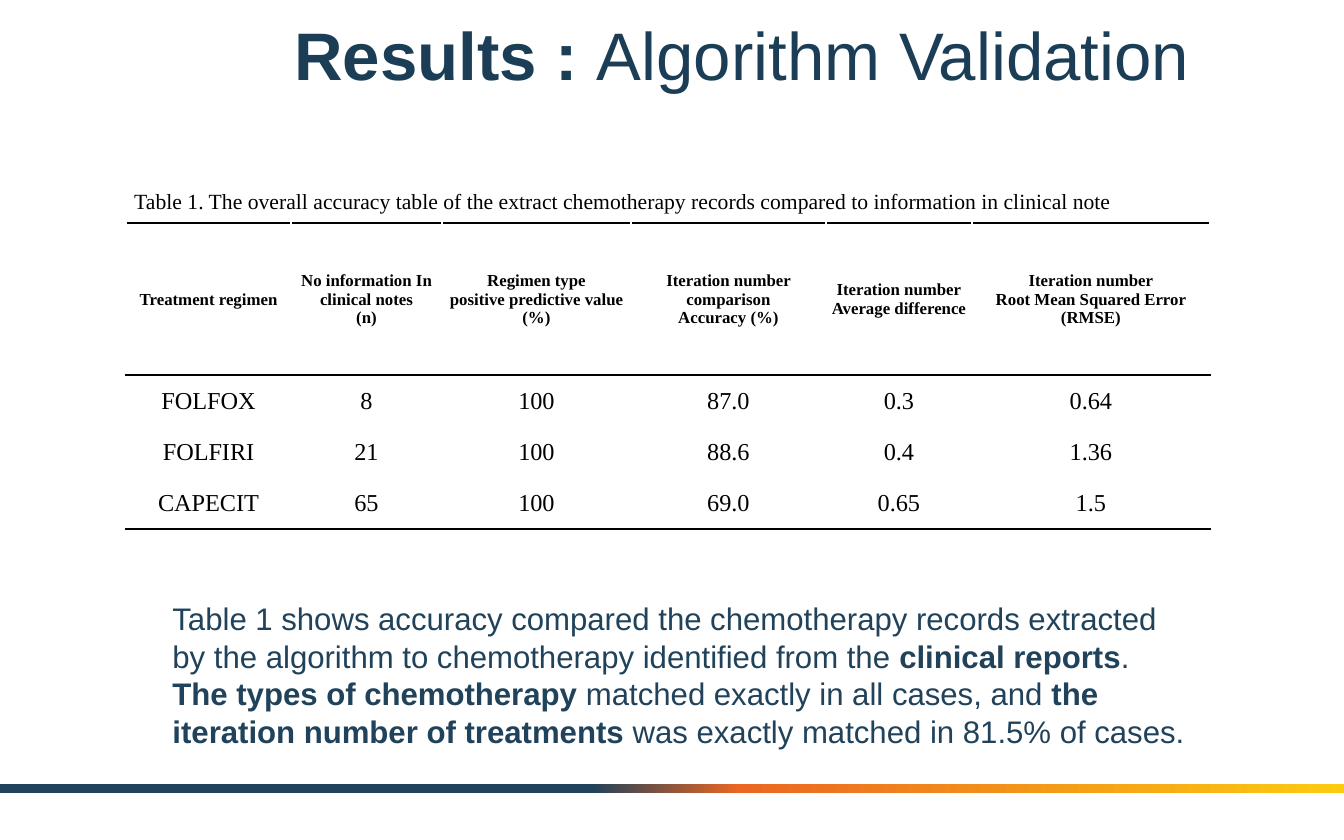
from copy import deepcopy

from lxml import etree
from pptx import Presentation
from pptx.dml.color import RGBColor
from pptx.enum.shapes import MSO_SHAPE
from pptx.enum.text import MSO_ANCHOR, MSO_AUTO_SIZE, PP_ALIGN
from pptx.oxml.ns import qn
from pptx.util import Pt

LEFT, CENTER = PP_ALIGN.LEFT, PP_ALIGN.CENTER
TOP, MIDDLE = MSO_ANCHOR.TOP, MSO_ANCHOR.MIDDLE
RECTANGLE, NO_FIT = MSO_SHAPE.RECTANGLE, MSO_AUTO_SIZE.NONE
PX = 914400 / 134.4

COLORS = {"title": "1B3E56", "navy": "20425A", "orange": "EB6622",
          "yellow": "FCCB10", "black": "000000", "white": "FFFFFF"}

TITLE = [[("Results : ", True), ("Algorithm Validation", False)]]
CAPTION = [[("Table 1. The overall accuracy table of the extract chemotherapy records "
             "compared to information in clinical note", False)]]
SUMMARY = [
    [("Table 1 shows accuracy compared the chemotherapy records extracted by the "
      "algorithm to chemotherapy identified from the ", False),
     ("clinical reports", True), (".", False)],
    [("The types of chemotherapy ", True),
     ("matched exactly in all cases, and ", False),
     ("the iteration number of treatments ", True),
     ("was exactly matched in 81.5% of cases.", False)],
]
HEADERS = [
    ["Treatment regimen"],
    ["No information In clinical notes", "(n)"],
    ["Regimen type", "positive predictive value (%)"],
    ["Iteration number comparison", "Accuracy (%)"],
    ["Iteration number", "Average difference"],
    ["Iteration number", "Root Mean Squared Error", "(RMSE)"],
]
RESULTS = [
    ["FOLFOX", "8", "100", "87.0", "0.3", "0.64"],
    ["FOLFIRI", "21", "100", "88.6", "0.4", "1.36"],
    ["CAPECIT", "65", "100", "69.0", "0.65", "1.5"],
]
COLUMN_WIDTHS = [165, 151, 189, 195, 146, 238]
ROW_HEIGHTS = [152, 51, 52, 51]
BAND_STOPS = [("navy", 0.44), ("orange", 0.55), ("yellow", 1)]

TITLE_STYLE = {"name": "Arial", "size": Pt(36), "color": "title"}
SUMMARY_STYLE = {"name": "Arial", "size": Pt(16.7), "color": "navy"}
CAPTION_STYLE = {"name": "Times New Roman", "size": Pt(11.6), "color": "black"}
HEADER_STYLE = {"name": "Times New Roman", "size": Pt(9), "color": "black"}
VALUE_STYLE = {"name": "Times New Roman", "size": Pt(13), "color": "black"}


def px(value):
    return round(value * PX)


def rgb(name):
    return RGBColor.from_string(COLORS[name])


def place(box, left, top, width, height):
    box.left, box.top, box.width, box.height = map(px, (left, top, width, height))


def write(frame, paragraphs, style, align):
    for index, spans in enumerate(paragraphs):
        para = frame.add_paragraph() if index else frame.paragraphs[0]
        properties = para._p.get_or_add_pPr()
        properties.set("marL", "0")
        properties.set("indent", "0")
        etree.SubElement(properties, qn("a:buNone"))
        para.alignment, para.line_spacing = align, 1.0
        para.space_before = para.space_after = Pt(0)
        for text, bold in spans:
            span = para.add_run()
            span.text = text
            span.font.bold = bold
            span.font.color.rgb = rgb(style["color"])
            for name in ("name", "size"):
                setattr(span.font, name, style[name])


def fill_box(box, bounds, paragraphs, style, align):
    place(box, *bounds)
    frame = box.text_frame
    frame.word_wrap, frame.auto_size = True, NO_FIT
    frame.vertical_anchor = TOP
    write(frame, paragraphs, style, align)


def set_borders(cell, top, bottom):
    properties = cell._tc.get_or_add_tcPr()
    sides = [("L", "white"), ("R", "white"), ("T", top), ("B", bottom)]
    for index, (side, color) in enumerate(sides):
        line = etree.Element(qn(f"a:ln{side}"), w=str(Pt(1)))
        solid = etree.SubElement(line, qn("a:solidFill"))
        etree.SubElement(solid, qn("a:srgbClr"), val=COLORS[color])
        properties.insert(index, line)


def add_band(slide):
    band = slide.shapes.add_shape(RECTANGLE, 0, px(784), px(1344), px(9))
    band.shadow.inherit = False
    band.line.fill.background()
    band.fill.gradient()
    band.fill.gradient_angle = 0
    stop_list = band._element.spPr.find(qn("a:gradFill")).find(qn("a:gsLst"))
    stop_list.append(deepcopy(stop_list[0]))
    for stop, (color, position) in zip(band.fill.gradient_stops, BAND_STOPS):
        stop.color.rgb = rgb(color)
        stop.position = position


def add_results(slide):
    rows = [HEADERS] + [[[value] for value in row] for row in RESULTS]
    bounds = map(px, (126, 223, sum(COLUMN_WIDTHS), sum(ROW_HEIGHTS)))
    table = slide.shapes.add_table(len(rows), len(HEADERS), *bounds).table
    table.horz_banding = False
    for column, width in zip(table.columns, COLUMN_WIDTHS):
        column.width = px(width)
    rules = ["black", "black"] + ["white"] * (len(rows) - 2) + ["black"]
    for r, row in enumerate(rows):
        table.rows[r].height = px(ROW_HEIGHTS[r])
        for c, lines in enumerate(row):
            cell = table.cell(r, c)
            cell.fill.background()
            cell.vertical_anchor = MIDDLE
            cell.margin_left = cell.margin_right = cell.margin_top = px(1)
            cell.margin_bottom = 0
            set_borders(cell, rules[r], rules[r + 1])
            style = VALUE_STYLE if r else HEADER_STYLE
            write(cell.text_frame, [[(line, r == 0)] for line in lines], style, CENTER)


def main():
    deck = Presentation()
    deck.slide_width, deck.slide_height = px(1344), px(840)
    slide = deck.slides.add_slide(deck.slide_layouts[1])
    add_band(slide)
    add_results(slide)
    caption = slide.shapes.add_textbox(0, 0, 0, 0)
    title, summary = slide.shapes.title, slide.placeholders[1]
    fill_box(caption, (121, 181, 1126, 40), CAPTION, CAPTION_STYLE, LEFT)
    fill_box(title, (179, 7, 1126, 95), TITLE, TITLE_STYLE, CENTER)
    fill_box(summary, (159, 593, 1044, 164), SUMMARY, SUMMARY_STYLE, LEFT)
    deck.save("out.pptx")


if __name__ == "__main__":
    main()
